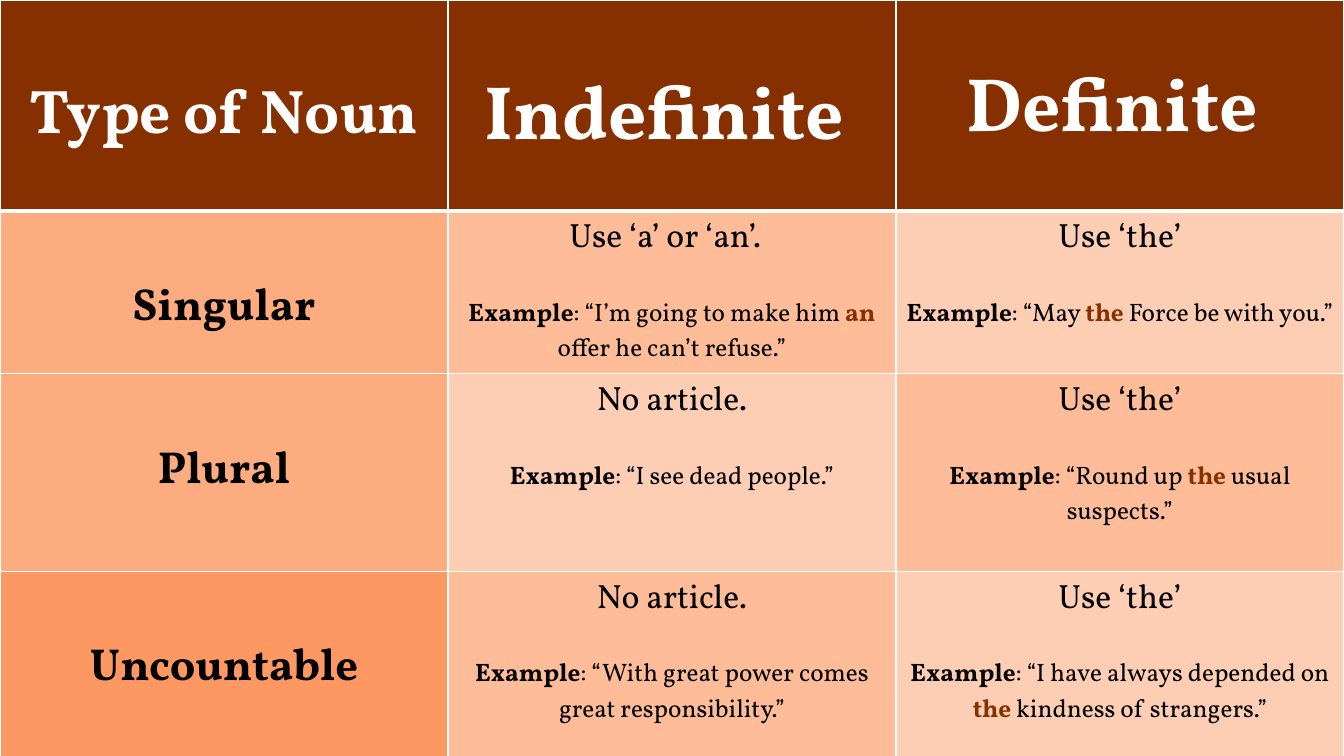
"""Build a slide with a table of English articles by type of noun."""
from dataclasses import dataclass

from lxml import etree
from pptx import Presentation, util as u
from pptx.dml.color import RGBColor
from pptx.enum import text
from pptx.oxml import ns


@dataclass(frozen=True)
class Theme:
    """Colours and type sizes of the slide."""
    font: str = "Vollkorn"
    background: str = "E7E6E6"
    brown: str = "863000"
    white: str = "FFFFFF"
    black: str = "000000"
    deep: str = "FD9862"
    strong: str = "FDAC7F"
    medium: str = "FEBC98"
    light: str = "FECEB4"
    label: int = 32
    rule: int = 24
    example: int = 18
    thin: int = 1
    thick: int = 3


THEME = Theme()
SLIDE_SIZE = (960, 540)
ROW_HEIGHTS = (150.5, 116.5, 141, 133)
MARGIN = 3.6
LABEL_TOP = 48
EXAMPLE_GAP = 25

HEADERS = (("Type of Noun", 44, 53.7), ("Indefinite ", 54, 48), ("Definite ", 54, 42.6))
NOUNS = (
    ("Singular", THEME.strong, (
        ("Use ‘a’ or ‘an’.  ", THEME.medium, "I’m going to make him ", "an", " offer he can’t refuse."),
        ("Use ‘the’", THEME.light, "May ", "the ", "Force be with you."))),
    ("Plural", THEME.strong, (
        ("No article.", THEME.light, "I see dead people.", "", ""),
        ("Use ‘the’", THEME.medium, "Round up ", "the ", "usual suspects."))),
    ("Uncountable", THEME.deep, (
        ("No article.", THEME.medium, "With great power comes great responsibility.", "", ""),
        ("Use ‘the’", THEME.light, "I have always depended on ", "the ", "kindness of strangers."))),
)


def add_text(paragraph, content, size, color=THEME.black, bold=False):
    """Add a formatted run to a centred paragraph."""
    paragraph.alignment = text.PP_ALIGN.CENTER
    run = paragraph.add_run()
    run.text = content
    run.font.name = THEME.font
    run.font.size = u.Pt(size)
    run.font.bold = bold
    run.font.color.rgb = RGBColor.from_string(color)


class SlideBuilder:
    """Hold the theme and the current slide."""

    def __init__(self, presentation, theme):
        """Add a blank slide with the theme's background."""
        self.theme = theme
        self.slide = presentation.slides.add_slide(presentation.slide_layouts[6])
        fill = self.slide.background.fill
        fill.solid()
        fill.fore_color.rgb = RGBColor.from_string(theme.background)

    def add_table(self, width, row_heights, column_count):
        """Add a table with equal columns and no banding."""
        frame = self.slide.shapes.add_table(
            len(row_heights), column_count, 0, 0, u.Pt(width), u.Pt(sum(row_heights)))
        table = frame.table
        table.first_row = table.horz_banding = False
        for row, height in zip(table.rows, row_heights):
            row.height = u.Pt(height)
        return table

    def add_border(self, cell, side, width):
        """Draw a white line on one side of a cell."""
        properties = cell._tc.get_or_add_tcPr()
        line = etree.SubElement(properties, ns.qn(f"a:ln{side}"), w=str(u.Pt(width)))
        fill = etree.SubElement(line, ns.qn("a:solidFill"))
        etree.SubElement(fill, ns.qn("a:srgbClr"), val=self.theme.white)

    def style_cell(self, cell, color, top=MARGIN, above=THEME.thin, below=THEME.thin):
        """Set a cell's borders, fill and margins and return its first paragraph."""
        for side, width in zip("LRTB", (self.theme.thin, self.theme.thin, above, below)):
            self.add_border(cell, side, width)
        cell.fill.solid()
        cell.fill.fore_color.rgb = RGBColor.from_string(color)
        cell.margin_top = u.Pt(top)
        cell.margin_bottom = u.Pt(MARGIN)
        cell.vertical_anchor = text.MSO_ANCHOR.TOP
        return cell.text_frame.paragraphs[0]

    def add_header(self, cell, title, size, top):
        """Fill a heading cell."""
        paragraph = self.style_cell(cell, self.theme.brown, top, below=self.theme.thick)
        add_text(paragraph, title, size, self.theme.white, bold=True)

    def add_label(self, cell, label, color, above):
        """Fill a cell that names a type of noun."""
        paragraph = self.style_cell(cell, color, LABEL_TOP, above)
        add_text(paragraph, label, self.theme.label, bold=True)

    def add_usage(self, cell, usage, above):
        """Fill a cell with a rule and an example that marks the article."""
        rule, color, before, article, after = usage
        paragraph = self.style_cell(cell, color, above=above)
        add_text(paragraph, rule, self.theme.rule)
        example = cell.text_frame.add_paragraph()
        example.space_before = u.Pt(EXAMPLE_GAP)
        size = self.theme.example
        add_text(example, "Example", size, bold=True)
        if article:
            add_text(example, f": “{before}", size)
            add_text(example, article, size, self.theme.brown, bold=True)
            add_text(example, f"{after}”", size)
        else:
            add_text(example, f": “{before}”", size)


def main():
    """Build and save the presentation."""
    presentation = Presentation()
    presentation.slide_width, presentation.slide_height = map(u.Pt, SLIDE_SIZE)
    builder = SlideBuilder(presentation, THEME)
    table = builder.add_table(SLIDE_SIZE[0], ROW_HEIGHTS, len(HEADERS))
    for column, header in enumerate(HEADERS):
        builder.add_header(table.cell(0, column), *header)
    for row, (label, color, usages) in enumerate(NOUNS, start=1):
        above = THEME.thick if row == 1 else THEME.thin
        builder.add_label(table.cell(row, 0), label, color, above)
        for column, usage in enumerate(usages, start=1):
            builder.add_usage(table.cell(row, column), usage, above)
    presentation.save("out.pptx")


if __name__ == "__main__":
    main()
